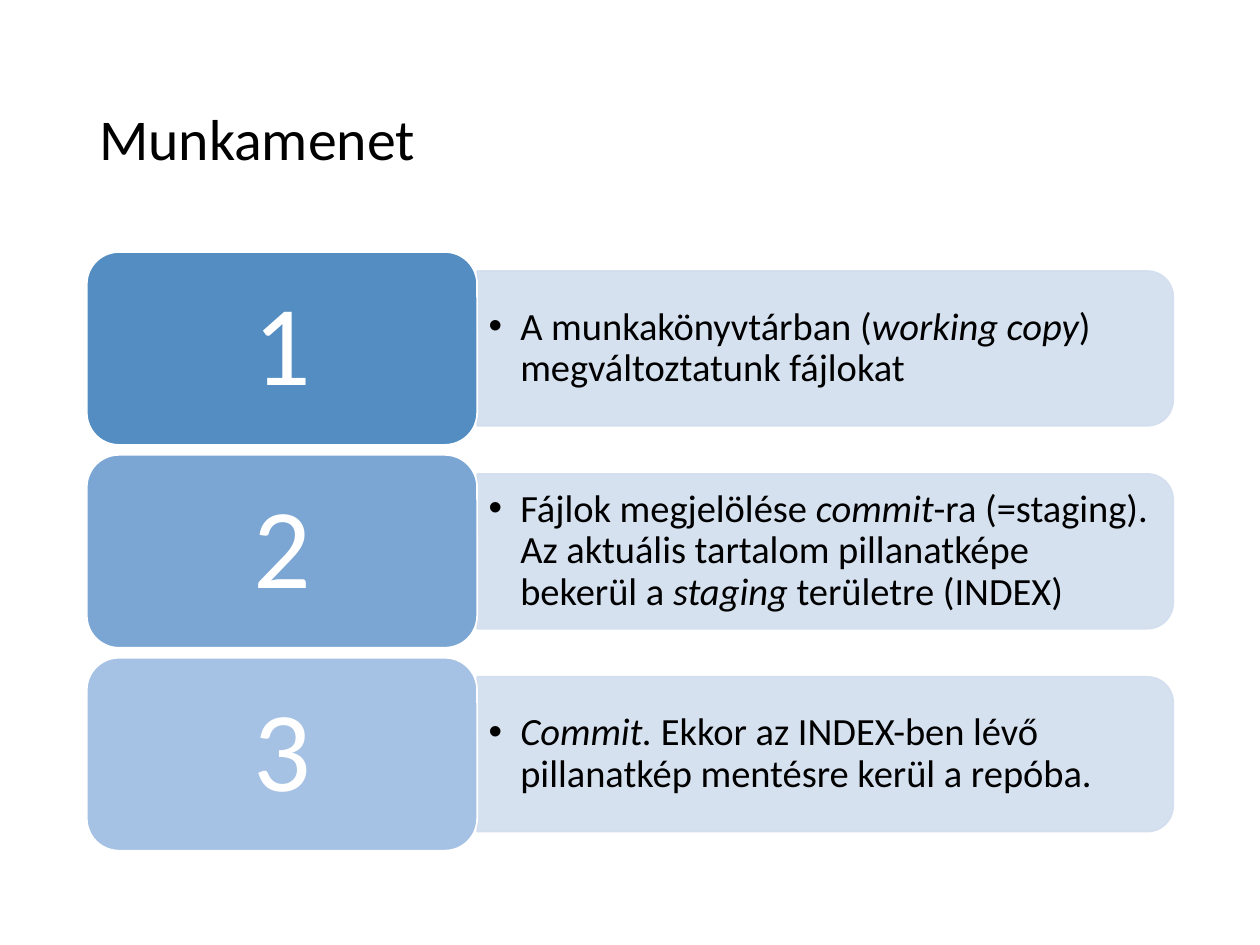
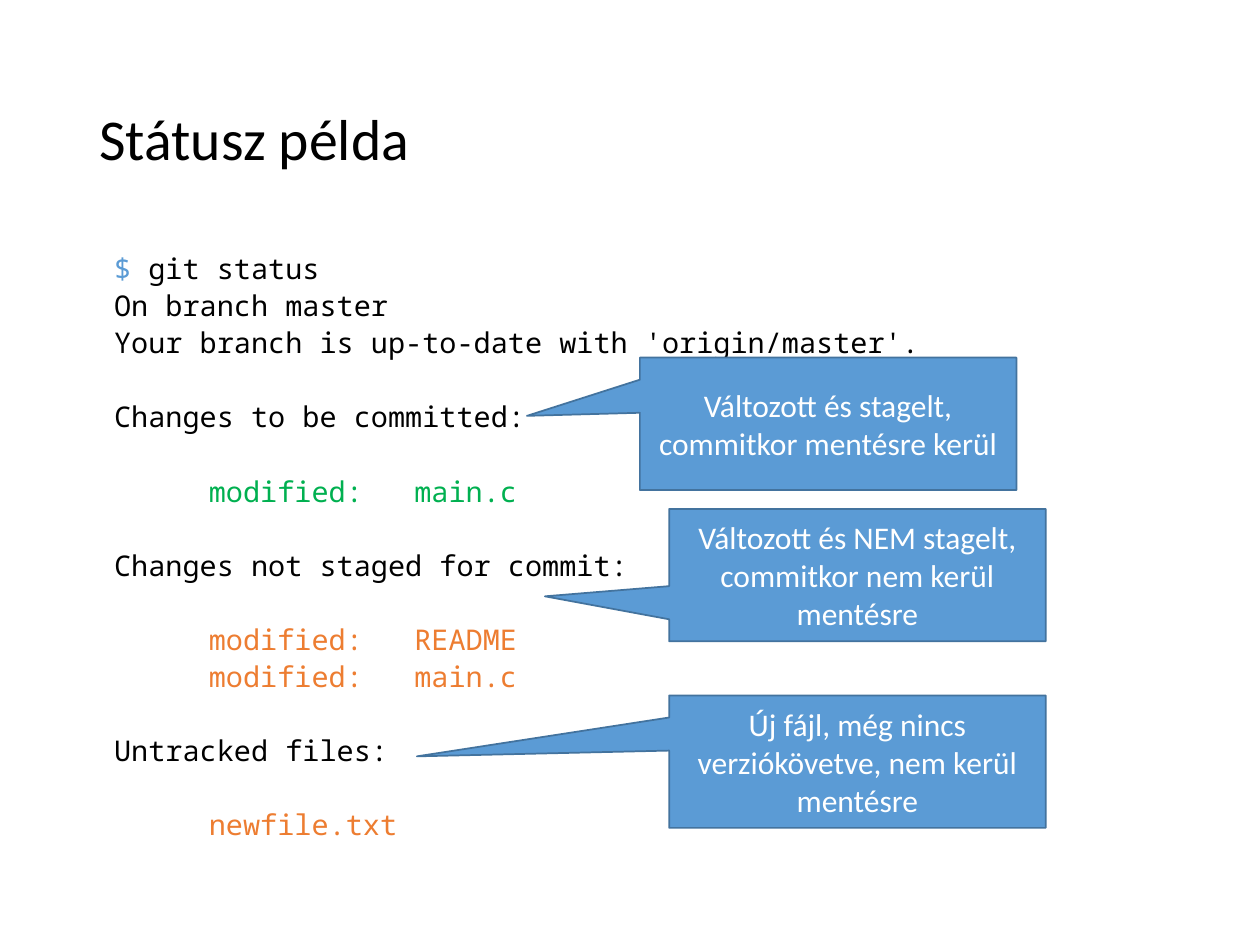
from lxml import etree
from pptx import Presentation
from pptx import util as u
from pptx.dml.color import RGBColor
from pptx.enum import shapes, text
from pptx.oxml.ns import qn

BLACK = RGBColor(0x00, 0x00, 0x00)
WHITE = RGBColor(0xFF, 0xFF, 0xFF)
BLUE = RGBColor(0x5B, 0x9B, 0xD5)
EDGE = RGBColor(0x43, 0x73, 0x9E)
PALE = RGBColor(0xD2, 0xDE, 0xEF)
GREEN = RGBColor(0x00, 0xB0, 0x50)
ORANGE = RGBColor(0xED, 0x7D, 0x31)
STEPS_FILL = [RGBColor(0x53, 0x8D, 0xC1), RGBColor(0x7B, 0xA6, 0xD3), RGBColor(0xA5, 0xC1, 0xE3)]
SANS, MONO = "Calibri", "Noto Sans Mono"
LEFT, TOP, WIDE = 1.75, 5.08, 21.9

STEPS = [
    [("A munkakönyvtárban (", False), ("working copy", True),
     (") megváltoztatunk fájlokat", False)],
    [("Fájlok megjelölése ", False), ("commit", True),
     ("-ra (=staging). Az aktuális tartalom pillanatképe bekerül a ", False),
     ("staging", True), (" területre (INDEX)", False)],
    [("Commit.", True),
     (" Ekkor az INDEX-ben lévő pillanatkép mentésre kerül a repóba.", False)],
]

STATUS = [
    [
        [("$ ", BLUE), ("git status", BLACK)],
        [("On branch master", BLACK)],
        [("Your branch is up-to-date with 'origin/master'.", BLACK)],
    ],
    [[("Changes to be committed:", BLACK)]],
    [[("modified:   main.c", GREEN)]],
    [[("Changes not staged for commit:", BLACK)]],
    [[("modified:   README", ORANGE)], [("modified:   main.c", ORANGE)]],
    [[("Untracked files:", BLACK)]],
    [[("newfile.txt", ORANGE)]],
]

NOTES = [
    ("Változott és stagelt, commitkor mentésre kerül", 12.9, 7.21, (-0.8, -0.06)),
    ("Változott és NEM stagelt, commitkor nem kerül mentésre", 13.49, 10.26, (-0.83, 0.16)),
    ("Új fájl, még nincs verziókövetve, nem kerül mentésre", 13.49, 14.02, (-1.17, -0.04)),
]


def setup(frame, mid=True, pad=(0.25, 0.13)):
    frame.word_wrap = True
    frame.vertical_anchor = text.MSO_ANCHOR.MIDDLE if mid else text.MSO_ANCHOR.TOP
    frame.margin_left = frame.margin_right = u.Cm(pad[0])
    frame.margin_top = frame.margin_bottom = u.Cm(pad[1])
    return frame


def add_box(slide, x, y, w, h, **opts):
    box = slide.shapes.add_textbox(u.Cm(x), u.Cm(y), u.Cm(w), u.Cm(h))
    return setup(box.text_frame, **opts)


def add_form(slide, kind, x, y, w, h, fill, edge):
    form = slide.shapes.add_shape(kind, u.Cm(x), u.Cm(y), u.Cm(w), u.Cm(h))
    form.shadow.inherit = False
    form.fill.solid()
    form.fill.fore_color.rgb = fill
    form.line.color.rgb = edge
    form.line.width = u.Pt(1)
    return form


def add_run(para, words, size, color, face=SANS, slant=False):
    run = para.add_run()
    run.text = words
    font = run.font
    font.name, font.size, font.italic = face, u.Pt(size), slant
    font.color.rgb = color


def set_indent(para, left, first=0):
    props = para._p.get_or_add_pPr()
    props.set("marL", str(u.Cm(left)))
    props.set("indent", str(u.Cm(first)))
    return props


def add_bullet(para):
    props = set_indent(para, 0.64, -0.64)
    etree.SubElement(props, qn("a:buFont")).set("typeface", "Arial")
    etree.SubElement(props, qn("a:buChar")).set("char", "•")


def fade(form, share):
    for color in form._element.spPr.iter(qn("a:srgbClr")):
        etree.SubElement(color, qn("a:alpha")).set("val", str(share * 1000))


def new_slide(deck, title):
    slide = deck.slides.add_slide(deck.slide_layouts[6])
    para = add_box(slide, LEFT, 1.02, WIDE, 3.68).paragraphs[0]
    para.line_spacing = 0.9
    add_run(para, title, 33, BLACK)
    return slide


def draw_steps(deck):
    slide = new_slide(deck, "Munkamenet")
    tile_w, tile_h, pitch = 7.87, 3.89, 4.09
    bar_x, bar_w, bar_h = LEFT + tile_w, WIDE - tile_w, 3.12
    for i, (runs, fill) in enumerate(zip(STEPS, STEPS_FILL)):
        y = TOP + i * pitch
        mid = y + tile_h / 2
        bar = add_form(slide, shapes.MSO_SHAPE.ROUND_2_SAME_RECTANGLE,
                       bar_x + (bar_w - bar_h) / 2, mid - bar_w / 2,
                       bar_h, bar_w, PALE, PALE)
        bar.rotation = 90
        fade(bar, 90)
        para = add_box(slide, bar_x, mid - 1.41, 13.87, 2.82, pad=(0.23, 0.13)).paragraphs[0]
        add_bullet(para)
        para.line_spacing = 0.9
        for words, slant in runs:
            add_run(para, words, 22, BLACK, slant=slant)
        tile = add_form(slide, shapes.MSO_SHAPE.ROUNDED_RECTANGLE,
                        LEFT, y, tile_w, tile_h, fill, WHITE)
        para = setup(tile.text_frame).paragraphs[0]
        para.alignment = text.PP_ALIGN.CENTER
        para.line_spacing = 0.9
        add_run(para, str(i + 1), 65, WHITE)


def draw_status(deck):
    slide = new_slide(deck, "Státusz példa")
    frame = add_box(slide, LEFT, 5.0, WIDE, 12.09, mid=False, pad=(0.25, 0))
    pitch = u.Pt(21.2)
    para = None
    for block in STATUS:
        for i, line in enumerate(block):
            first = para is None
            para = frame.paragraphs[0] if first else frame.add_paragraph()
            nested = line[0][1] in (GREEN, ORANGE)
            set_indent(para, 2.21 if nested else 0.3)
            para.line_spacing = pitch
            para.space_before = pitch if i == 0 and not first else u.Pt(0)
            for words, color in line:
                add_run(para, words, 16.3, color, MONO)
    for words, x, y, tip in NOTES:
        note = add_form(slide, shapes.MSO_SHAPE.RECTANGULAR_CALLOUT,
                        x, y, 7.59, 2.67, BLUE, EDGE)
        note.adjustments[0], note.adjustments[1] = tip
        para = setup(note.text_frame).paragraphs[0]
        para.alignment = text.PP_ALIGN.CENTER
        add_run(para, words, 18, WHITE)


def main():
    deck = Presentation()
    deck.slide_width, deck.slide_height = u.Cm(25.4), u.Cm(19.05)
    draw_steps(deck)
    draw_status(deck)
    deck.save("out.pptx")


if __name__ == "__main__":
    main()
